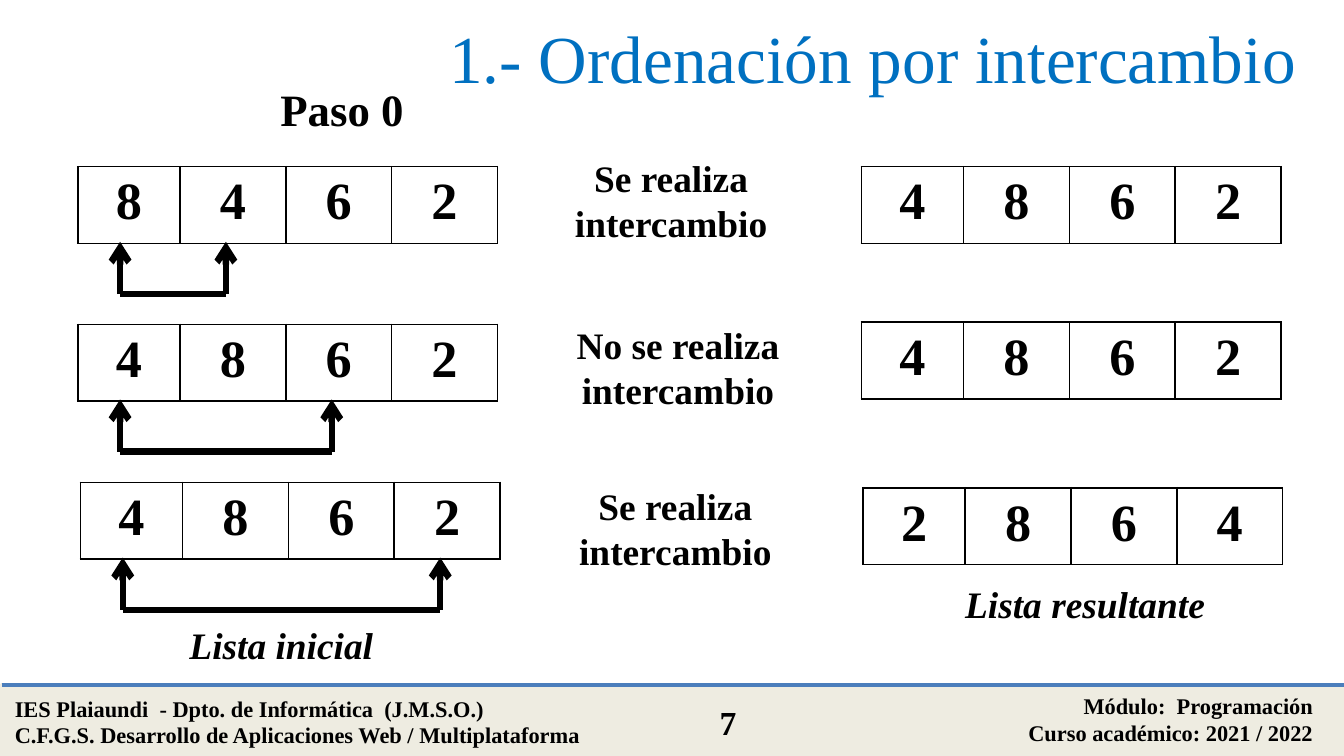
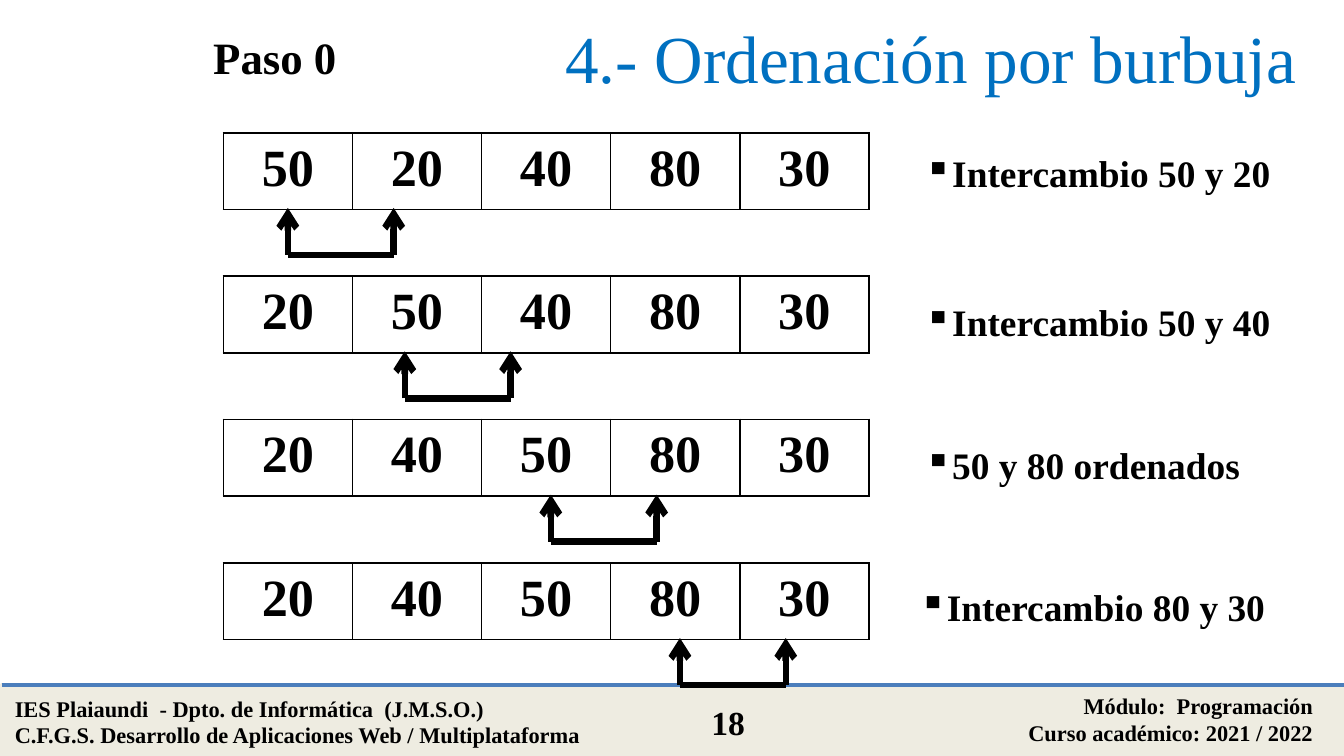
from dataclasses import dataclass
from typing import Optional

import lxml.etree
import pptx
import pptx.dml.color
import pptx.enum.shapes
import pptx.enum.text
import pptx.oxml.ns
import pptx.shapes.connector
import pptx.slide
import pptx.util

Cm = pptx.util.Cm
Pt = pptx.util.Pt
qn = pptx.oxml.ns.qn
ALIGN = pptx.enum.text.PP_ALIGN

FONT = "Times New Roman"
COLORS = {
    "text": "000000",
    "title": "0070C0",
    "band": "EEECE1",
    "rule": "4B7EBC",
    "cell": "FFFFFF",
}
SLIDE_W, SLIDE_H = 25.4, 14.29
BAND_TOP = 12.95
ROW_H = 1.45
TIP_DROP = 1.42  # from the top of a list to the arrow tips below it
SWAP_SPAN = 2.0


@dataclass
class Label:
    text: str
    left: float
    top: float
    width: float
    height: float
    size: int = 20
    align: ALIGN = ALIGN.LEFT
    bold: bool = True
    italic: bool = False
    color: str = "text"
    inset_top: float = 0.13
    bullet: Optional[str] = None
    middle: bool = False


@dataclass
class NumberList:
    values: str
    left: float
    top: float
    widths: list[float]


@dataclass
class Bracket:
    """Two arrows pointing up at the compared values, joined at their feet."""
    left: float
    list_top: float
    span: float
    depth: float


def rgb(name: str) -> pptx.dml.color.RGBColor:
    return pptx.dml.color.RGBColor.from_string(COLORS[name])


def style_paragraph(p, size: int, align: ALIGN, color: str = "text",
                    bold: bool = True, italic: bool = False) -> None:
    p.alignment = align
    p.font.name = FONT
    p.font.size = Pt(size)
    p.font.bold = bold
    p.font.italic = italic
    p.font.color.rgb = rgb(color)


def add_bullet(p, char: str, indent: float) -> None:
    pPr = p._p.get_or_add_pPr()
    pPr.set("marL", str(Cm(indent)))
    pPr.set("indent", str(-Cm(indent)))
    bullet = lxml.etree.Element(qn("a:buChar"), char=char)
    pPr.insert(0, bullet)


def add_label(slide: pptx.slide.Slide, label: Label) -> None:
    sp = slide.shapes.add_textbox(Cm(label.left), Cm(label.top),
                                  Cm(label.width), Cm(label.height))
    tf = sp.text_frame
    tf.word_wrap = True
    tf.margin_top = Cm(label.inset_top)
    if label.middle:
        tf.vertical_anchor = pptx.enum.text.MSO_ANCHOR.MIDDLE
    else:
        tf.auto_size = pptx.enum.text.MSO_AUTO_SIZE.SHAPE_TO_FIT_TEXT
    tf.text = label.text
    for p in tf.paragraphs:
        style_paragraph(p, label.size, label.align, label.color,
                        label.bold, label.italic)
        if label.bullet:
            add_bullet(p, label.bullet, 0.51)


def add_line(slide: pptx.slide.Slide, x1: float, y1: float, x2: float, y2: float,
             color: str, width: float, arrow: bool = False) -> None:
    line = slide.shapes.add_connector(pptx.enum.shapes.MSO_CONNECTOR.STRAIGHT,
                                      Cm(x1), Cm(y1), Cm(x2), Cm(y2))
    line.line.color.rgb = rgb(color)
    line.line.width = Pt(width)
    if arrow:
        lxml.etree.SubElement(line.line._get_or_add_ln(), qn("a:tailEnd"), type="arrow")
    lxml.etree.SubElement(line._element.spPr, qn("a:effectLst"))


def add_bracket(slide: pptx.slide.Slide, bracket: Bracket) -> None:
    tip = bracket.list_top + TIP_DROP
    foot = tip + bracket.depth
    right = bracket.left + bracket.span
    for x in (bracket.left, right):
        add_line(slide, x, foot, x, tip, "text", 3.5, arrow=True)
    add_line(slide, bracket.left, foot, right, foot, "text", 3.5)


def set_borders(cell, color: str, width: float) -> None:
    tcPr = cell._tc.get_or_add_tcPr()
    for side in ("lnL", "lnR", "lnT", "lnB"):
        ln = lxml.etree.SubElement(tcPr, qn(f"a:{side}"), w=str(Pt(width)))
        fill = lxml.etree.SubElement(ln, qn("a:solidFill"))
        lxml.etree.SubElement(fill, qn("a:srgbClr"), val=COLORS[color])


def add_list(slide: pptx.slide.Slide, numbers: NumberList) -> None:
    values = numbers.values.split()
    table = slide.shapes.add_table(1, len(values), Cm(numbers.left), Cm(numbers.top),
                                   Cm(sum(numbers.widths)), Cm(ROW_H)).table
    table.first_row = False
    table.horz_banding = False
    for i, (value, width) in enumerate(zip(values, numbers.widths)):
        table.columns[i].width = Cm(width)
        cell = table.cell(0, i)
        cell.text = value
        set_borders(cell, "text", 1)
        cell.fill.solid()
        cell.fill.fore_color.rgb = rgb("cell")
        style_paragraph(cell.text_frame.paragraphs[0], 28, ALIGN.CENTER)


def add_footer(slide: pptx.slide.Slide, number: int) -> None:
    band = slide.shapes.add_shape(pptx.enum.shapes.MSO_SHAPE.RECTANGLE, Cm(0.03),
                                  Cm(BAND_TOP), Cm(SLIDE_W), Cm(SLIDE_H - BAND_TOP))
    band.shadow.inherit = False
    band.fill.solid()
    band.fill.fore_color.rgb = rgb("band")
    band.line.color.rgb = rgb("band")
    band.line.width = Pt(2)
    add_line(slide, 0.03, BAND_TOP, SLIDE_W + 0.03, BAND_TOP, "rule", 2)
    for label in (
        Label("IES Plaiaundi  - Dpto. de Informática  (J.M.S.O.)\n"
              "C.F.G.S. Desarrollo de Aplicaciones Web / Multiplataforma",
              0.03, 13, 11.84, 1.27, 12),
        Label("Módulo:  Programación\nCurso académico: 2021 / 2022",
              14.91, 12.95, 10.16, 1.27, 12, ALIGN.RIGHT),
        Label(str(number), 12.73, 13.13, 2.06, 1.02, 18, ALIGN.CENTER),
    ):
        add_label(slide, label)


def add_base_slide(prs, title: str, number: int) -> pptx.slide.Slide:
    slide = prs.slides.add_slide(prs.slide_layouts[6])
    add_footer(slide, number)
    add_label(slide, Label(title, 0.03, 0, 25.04, 2.13, 36, ALIGN.RIGHT,
                           bold=False, color="title", middle=True))
    return slide


def build_exchange(prs) -> None:
    slide = add_base_slide(prs, "1.- Ordenación por intercambio ", 7)
    add_label(slide, Label("Paso 0", 5.05, 1.42, 5.59, 1.27, 24))
    widths = [1.93, 2, 2, 2]
    swap, keep = "Se realiza intercambio", "No se realiza intercambio"
    steps = [
        (NumberList("8 4 6 2", 1.47, 3.15, widths),
         Label(swap, 10.08, 2.74, 5.21, 2.03, align=ALIGN.CENTER, inset_top=0.2),
         NumberList("4 8 6 2", 16.28, 3.15, widths)),
        (NumberList("4 8 6 2", 1.47, 6.13, widths),
         Label(keep, 10.21, 5.99, 5.21, 1.93, align=ALIGN.CENTER, inset_top=0.1),
         NumberList("4 8 6 2", 16.28, 6.09, widths)),
        (NumberList("4 8 6 2", 1.52, 9.12, widths),
         Label(swap, 10.16, 8.94, 5.21, 2.03, align=ALIGN.CENTER, inset_top=0.2),
         NumberList("2 8 6 4", 16.31, 9.22, widths)),
    ]
    for i, (before, note, after) in enumerate(steps, start=1):
        add_list(slide, before)
        add_bracket(slide, Bracket(before.left + 0.8, before.top, SWAP_SPAN * i, 0.99))
        add_label(slide, note)
        add_list(slide, after)
    for text, left, top in (("Lista inicial", 1.32, 11.63),
                            ("Lista resultante", 16.51, 10.85)):
        add_label(slide, Label(text, left, top, 8, 1.12, align=ALIGN.CENTER, italic=True))


def build_bubble(prs) -> None:
    slide = add_base_slide(prs, "4.- Ordenación por burbuja ", 18)
    add_label(slide, Label("Paso 0", 3.78, 0.43, 5.28, 1.27, 24))
    steps = [  # values, bracket left, note, note left, note top
        ("50 20 40 80 30", 5.44, "Intercambio 50 y 20", 17.22, 2.64),
        ("20 50 40 80 30", 7.65, "Intercambio 50 y 40", 17.22, 5.46),
        ("20 40 50 80 30", 10.41, "50 y 80 ordenados", 17.22, 8.15),
        ("20 40 50 80 30", 12.85, "Intercambio 80 y 30", 17.12, 10.85),
    ]
    for i, (values, bracket_left, note, note_left, note_top) in enumerate(steps):
        top = 2.51 + 2.71 * i
        add_list(slide, NumberList(values, 4.22, top, [2.44] * 5))
        add_bracket(slide, Bracket(bracket_left, top, SWAP_SPAN, 0.89))
        add_label(slide, Label(note, note_left, note_top, 7.42, 1.19,
                               inset_top=0.2, bullet="▪"))


def main() -> None:
    prs = pptx.Presentation()
    prs.slide_width = Cm(SLIDE_W)
    prs.slide_height = Cm(SLIDE_H)
    build_exchange(prs)
    build_bubble(prs)
    prs.save("out.pptx")


if __name__ == "__main__":
    main()
